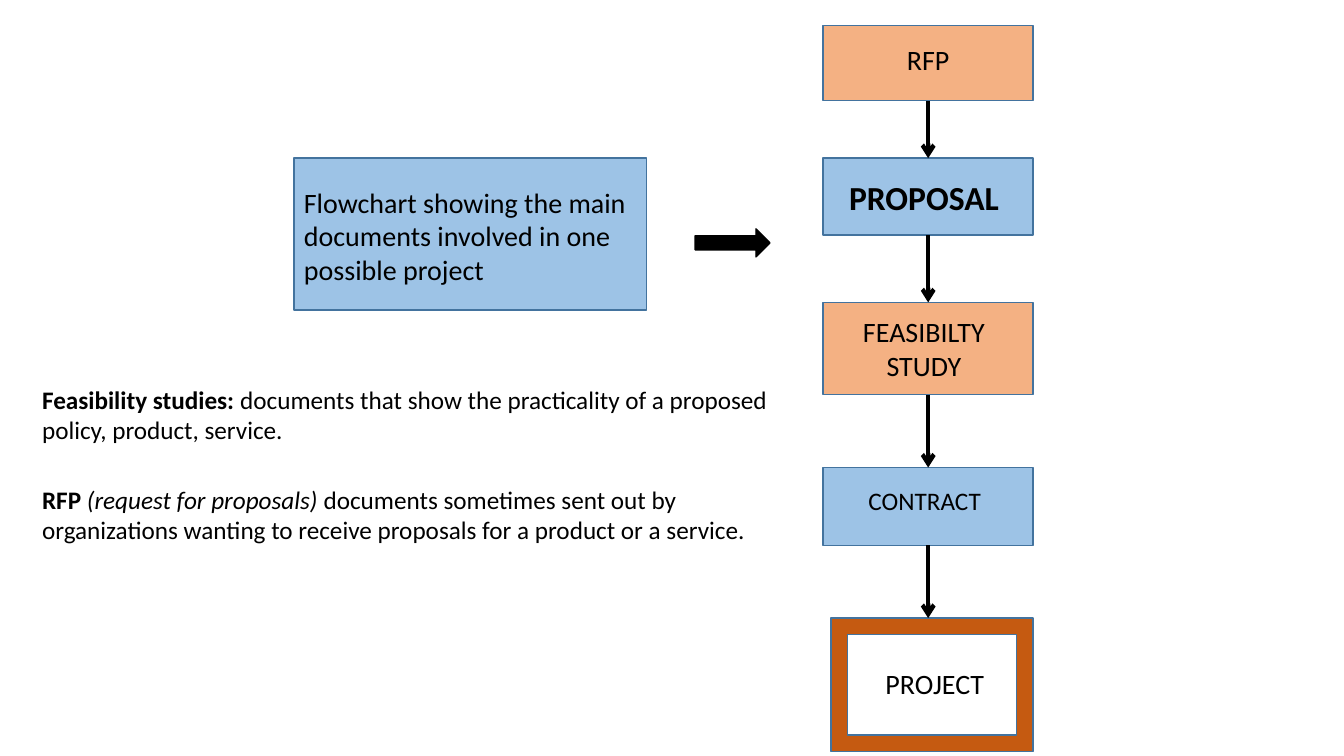
from lxml.etree import SubElement
from pptx import Presentation
from pptx.dml.color import RGBColor
from pptx.enum.shapes import MSO_CONNECTOR as CONN, MSO_SHAPE as SHAPE
from pptx.enum.text import MSO_ANCHOR as ANCHOR, PP_ALIGN as ALIGN
from pptx.oxml.ns import qn
from pptx.util import Pt

FONT = "Calibri"
BLACK = RGBColor(0x00, 0x00, 0x00)
ORANGE = RGBColor(0xF4, 0xB1, 0x83)
BLUE = RGBColor(0x9D, 0xC3, 0xE6)
RUST = RGBColor(0xC5, 0x5A, 0x11)
OUTLINE = RGBColor(0x43, 0x73, 0x9E)


def write(tf, paragraphs, size=20, bold=False, align=ALIGN.LEFT, gap=0):
    """Fill a text frame with paragraphs, each a list of (text, style) runs."""
    tf.word_wrap = True
    for i, runs in enumerate(paragraphs):
        p = tf.add_paragraph() if i else tf.paragraphs[0]
        p.alignment = align
        if i:
            p.space_before = Pt(gap)
        for text, style in runs:
            r = p.add_run()
            r.text = text
            r.font.name = FONT
            r.font.size = Pt(size)
            r.font.bold = bold or style == "bold"
            r.font.italic = style == "italic"
            r.font.color.rgb = BLACK


def add_block(s, kind, box, fill, line=OUTLINE):
    """Add a filled, outlined shape without shadow."""
    sp = s.shapes.add_shape(kind, *map(Pt, box))
    sp.shadow.inherit = False
    sp.fill.solid()
    sp.fill.fore_color.rgb = fill
    sp.line.color.rgb = line
    sp.line.width = Pt(1)
    return sp


def set_insets(tf, dx=0, dy=0):
    """Centre the text vertically, moved by dx and dy from the middle."""
    tf.vertical_anchor = ANCHOR.MIDDLE
    tf.margin_left, tf.margin_right = Pt(7.2 + dx), Pt(7.2 - dx)
    tf.margin_top, tf.margin_bottom = Pt(3.6 + dy), Pt(3.6 - dy)


def add_arrow(s, x, upper, lower):
    """Join two steps with a downward arrow at x."""
    c = s.shapes.add_connector(CONN.STRAIGHT, Pt(x), upper.top + upper.height,
                               Pt(x), lower.top)
    c.begin_connect(upper, 2)
    if lower.auto_shape_type == SHAPE.RECTANGLE:
        c.end_connect(lower, 0)
    c.line.color.rgb = BLACK
    c.line.width = Pt(3)
    SubElement(c.line._get_or_add_ln(), qn("a:tailEnd"), type="arrow")
    SubElement(c._element.spPr, qn("a:effectLst"))


def add_flowchart(s, x, y, w):
    """Stack the document steps downward and join them with arrows."""
    steps = [
        (["RFP"], 0, 54, ORANGE, dict(size=20), (0, -2.5)),
        (["PROPOSAL"], 95, 55, BLUE, dict(size=24, bold=True), (-3, 0)),
        (["FEASIBILTY", "STUDY"], 198, 66, ORANGE, dict(size=20), (-3, 0)),
        (["CONTRACT"], 316, 55.5, BLUE, dict(size=18), (-2.5, -4)),
        (["PROJECT"], 423.5, 95.5, RUST, dict(size=20), (2, -1)),
    ]
    blocks = []
    for lines, top, h, fill, fmt, shift in steps:
        is_goal = fill == RUST
        kind = SHAPE.FRAME if is_goal else SHAPE.RECTANGLE
        indent = 5.5 if is_goal else 0
        sp = add_block(s, kind, (x + indent, y + top, w - indent, h), fill)
        set_insets(sp.text_frame, *shift)
        write(sp.text_frame, [[(line, None)] for line in lines],
              align=ALIGN.CENTER, **fmt)
        blocks.append(sp)
    for upper, lower in zip(blocks, blocks[1:]):
        add_arrow(s, x + w / 2, upper, lower)


def add_caption(s, x, y, w, h):
    """Add the caption block and the thick arrow toward the flowchart."""
    sp = add_block(s, SHAPE.RECTANGLE, (x, y, w, h), BLUE)
    set_insets(sp.text_frame, dy=1)
    write(sp.text_frame, [[("Flowchart showing the main documents involved "
                            "in one possible project", None)]])
    add_block(s, SHAPE.RIGHT_ARROW, (x + w + 34.5, y + 50.5, 53.5, 20),
              BLACK, BLACK)


def add_definitions(s, x, y, w, h):
    """Explain the terms used in the flowchart."""
    tb = s.shapes.add_textbox(Pt(x), Pt(y), Pt(w), Pt(h))
    write(tb.text_frame, [
        [("Feasibility studies: ", "bold"),
         ("documents that show the practicality of a proposed policy, "
          "product, service.", None)],
        [("RFP ", "bold"), ("(request for proposals) ", "italic"),
         ("documents sometimes sent out by organizations wanting to receive "
          "proposals for a product or a service.", None)],
    ], size=18, gap=28)


def main():
    """Build the slide and save it."""
    prs = Presentation()
    prs.slide_width, prs.slide_height = Pt(960), Pt(540)
    s = prs.slides.add_slide(prs.slide_layouts[6])
    add_definitions(s, 23, 271, 559, 125)
    add_flowchart(s, 588, 18, 150)
    add_caption(s, 210, 113, 252, 108.5)
    prs.save("out.pptx")


if __name__ == "__main__":
    main()
